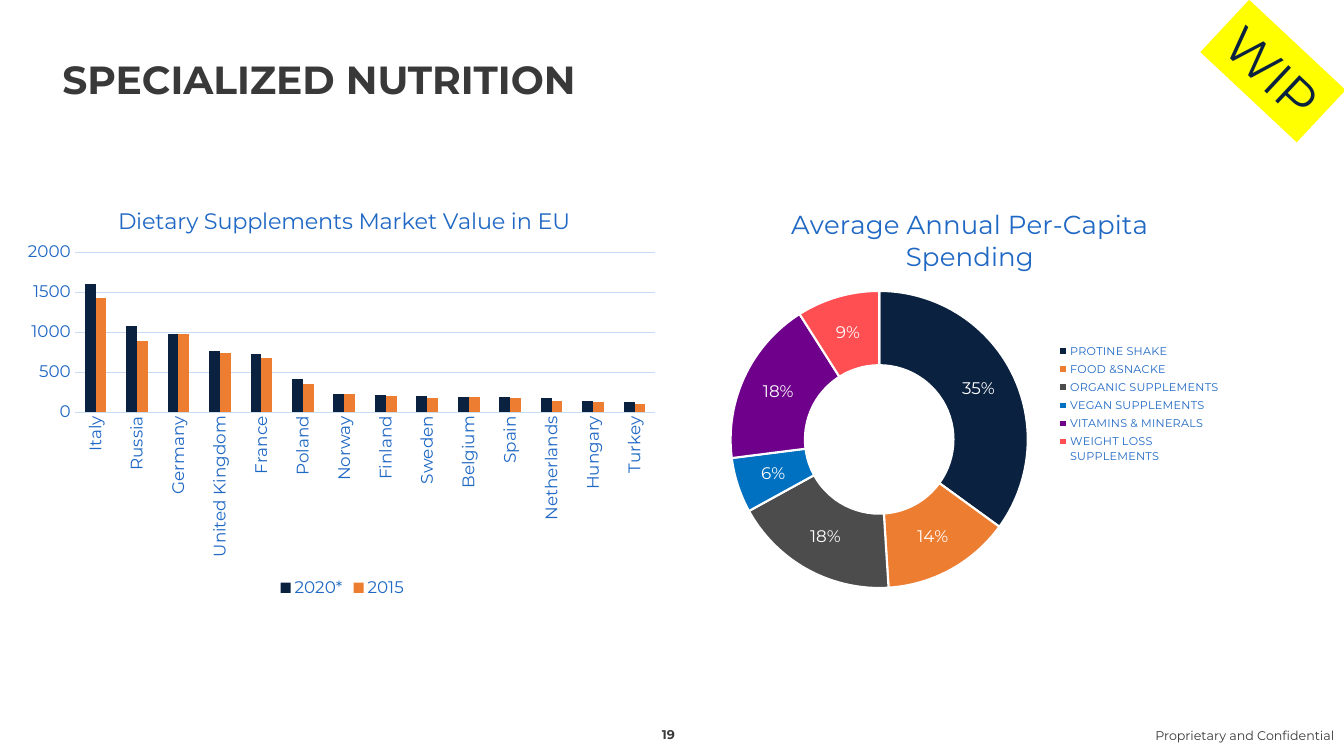
from lxml import etree
from pptx import Presentation
from pptx.chart.data import CategoryChartData
from pptx.dml.color import RGBColor
from pptx.enum.chart import XL_CHART_TYPE, XL_LEGEND_POSITION, XL_TICK_MARK
from pptx.enum.shapes import MSO_SHAPE
from pptx.enum.text import MSO_ANCHOR, PP_ALIGN
from pptx.oxml.ns import qn
from pptx.util import Inches, Pt

COLUMNS = XL_CHART_TYPE.COLUMN_CLUSTERED
DOUGHNUT = XL_CHART_TYPE.DOUGHNUT
LEGEND_BOTTOM = XL_LEGEND_POSITION.BOTTOM
LEGEND_RIGHT = XL_LEGEND_POSITION.RIGHT
NO_TICK = XL_TICK_MARK.NONE
RECTANGLE = MSO_SHAPE.RECTANGLE
TOP, MIDDLE, BOTTOM = MSO_ANCHOR.TOP, MSO_ANCHOR.MIDDLE, MSO_ANCHOR.BOTTOM
LEFT, CENTER, RIGHT = PP_ALIGN.LEFT, PP_ALIGN.CENTER, PP_ALIGN.RIGHT

WIDTH, HEIGHT = 13.33, 7.5
FONT = "Montserrat"
COLORS = {
    "text": "393939", "navy": "0A2240", "orange": "ED7D31", "gray": "4C4C4C",
    "blue": "0070C0", "purple": "6E008B", "coral": "FF4F53",
    "label": "1F68C4", "grid": "C6DCF6", "white": "FFFFFF", "yellow": "FFFF00",
}
MARKET_VALUE = {
    "Italy": (1600, 1420), "Russia": (1080, 890), "Germany": (970, 970),
    "United Kingdom": (760, 740), "France": (720, 680), "Poland": (410, 350),
    "Norway": (220, 230), "Finland": (210, 200), "Sweden": (200, 180),
    "Belgium": (190, 190), "Spain": (190, 180), "Netherlands": (170, 140),
    "Hungary": (140, 120), "Turkey": (120, 100),
}
YEARS = {"2020*": "navy", "2015": "orange"}
SPENDING = {
    "PROTINE SHAKE": (35, "navy"), "FOOD &SNACKE": (14, "orange"),
    "ORGANIC SUPPLEMENTS": (18, "gray"), "VEGAN SUPPLEMENTS": (6, "blue"),
    "VITAMINS & MINERALS": (18, "purple"),
    "WEIGHT LOSS SUPPLEMENTS": (9, "coral"),
}


def rgb(name):
    return RGBColor.from_string(COLORS[name])


def style_font(font, size, color, bold=False):
    font.name = FONT
    font.size = Pt(size)
    font.bold = bold
    font.color.rgb = rgb(color)


def paint(target, color):
    target.fill.solid()
    target.fill.fore_color.rgb = rgb(color)


def write(shape, words, size, color, align, anchor, bold=False):
    frame = shape.text_frame
    frame.word_wrap = True
    frame.vertical_anchor = anchor
    frame.text = words
    paragraph = frame.paragraphs[0]
    paragraph.alignment = align
    style_font(paragraph.runs[0].font, size, color, bold)


def add_label(slide, box, *text_style, **options):
    label = slide.shapes.add_textbox(*map(Inches, box))
    write(label, *text_style, **options)


def place(part, index, shares, inner=False):
    for old in part.findall(qn("c:layout")):
        part.remove(old)
    layout = etree.Element(qn("c:layout"))
    manual = etree.SubElement(layout, qn("c:manualLayout"))
    settings = [("layoutTarget", "inner")] if inner else []
    settings += [("xMode", "edge"), ("yMode", "edge")]
    settings += zip("xywh", shares)
    for tag, value in settings:
        etree.SubElement(manual, qn(f"c:{tag}")).set("val", str(value))
    part.insert(index, layout)


def add_titled_chart(slide, box, kind, data, title, title_size, title_at, plot_at):
    chart = slide.shapes.add_chart(kind, *map(Inches, box), data).chart
    style_font(chart.font, 10, "navy")
    chart.has_title = True
    chart.chart_title.text_frame.text = title
    heading = chart.chart_title.text_frame.paragraphs[0]
    style_font(heading.runs[0].font, title_size, "label")
    title_part = chart.chart_title._element
    place(title_part, 1, title_at)
    place(chart._chartSpace.chart.plotArea, 0, plot_at, inner=True)
    return chart


def add_legend(chart, position, size):
    chart.has_legend = True
    chart.legend.position = position
    chart.legend.include_in_layout = False
    style_font(chart.legend.font, size, "label")


def add_market_chart(slide, box):
    data = CategoryChartData()
    data.categories = list(MARKET_VALUE)
    for year, values in zip(YEARS, zip(*MARKET_VALUE.values())):
        data.add_series(year, values)
    chart = add_titled_chart(
        slide, box, COLUMNS, data, "Dietary Supplements Market Value in EU", 16,
        (0.15, 0.05), (0.09, 0.17, 0.89, 0.38))
    add_legend(chart, LEGEND_BOTTOM, 12)
    bars = chart.plots[0]
    bars.vary_by_categories = False
    bars.gap_width = 182
    bars.overlap = 0
    for series, color in zip(bars.series, YEARS.values()):
        paint(series.format, color)
    countries, values = chart.category_axis, chart.value_axis
    for axis in (countries, values):
        axis.major_tick_mark = axis.minor_tick_mark = NO_TICK
        style_font(axis.tick_labels.font, 12, "label")
    values.minimum_scale, values.maximum_scale, values.major_unit = 0, 2000, 500
    values.format.line.fill.background()
    for line in (countries.format.line, values.major_gridlines.format.line):
        line.color.rgb = rgb("grid")
        line.width = Pt(0.75)
    label_body = countries._element.find(qn("c:txPr")).find(qn("a:bodyPr"))
    label_body.set("rot", "-5400000")
    label_body.set("vert", "horz")


def add_spending_chart(slide, box):
    data = CategoryChartData()
    data.categories = list(SPENDING)
    data.add_series("Series 1", [share for share, _ in SPENDING.values()])
    chart = add_titled_chart(
        slide, box, DOUGHNUT, data, "Average Annual Per-Capita Spending", 18.6,
        (0.21, 0.05), (0.12, 0.26, 0.48, 0.71))
    add_legend(chart, LEGEND_RIGHT, 8)
    place(chart.legend._element, 1, (0.64, 0.38, 0.28, 0.3))
    ring = chart.plots[0]
    ring.vary_by_categories = True
    for index, (_, color) in enumerate(SPENDING.values()):
        wedge = ring.series[0].points[index].format
        paint(wedge, color)
        wedge.line.color.rgb = rgb("white")
        wedge.line.width = Pt(1.5)
    ring.has_data_labels = True
    labels = ring.data_labels
    labels.show_percentage = True
    labels.show_value = False
    labels.number_format = "0%"
    labels.number_format_is_linked = False
    style_font(labels.font, 12, "white")


def add_status_stamp(slide, box):
    stamp = slide.shapes.add_shape(RECTANGLE, *map(Inches, box))
    stamp.rotation = 43.1
    stamp.shadow.inherit = False
    paint(stamp, "yellow")
    stamp.line.fill.background()
    write(stamp, "WIP", 36, "navy", CENTER, MIDDLE)


def add_footer(slide, top):
    add_label(slide, (6.33, top, 0.6, 0.28), "19", 9, "text", CENTER, BOTTOM, bold=True)
    add_label(slide, (WIDTH - 2, top + 0.04, 2, 0.28),
              "Proprietary and Confidential", 9, "text", RIGHT, TOP)


def main():
    deck = Presentation()
    deck.slide_width, deck.slide_height = Inches(WIDTH), Inches(HEIGHT)
    slide = deck.slides.add_slide(deck.slide_layouts[6])
    add_label(slide, (0.52, 0.11, 12.28, 0.95), "SPECIALIZED NUTRITION", 28,
              "text", LEFT, BOTTOM, bold=True)
    add_spending_chart(slide, (6.51, 1.79, 6.14, 4.18))
    add_footer(slide, 7.13)
    add_market_chart(slide, (0.16, 1.79, 6.47, 4.18))
    add_status_stamp(slide, (11.97, 0.35, 1.31, 0.71))
    deck.save("out.pptx")


if __name__ == "__main__":
    main()
